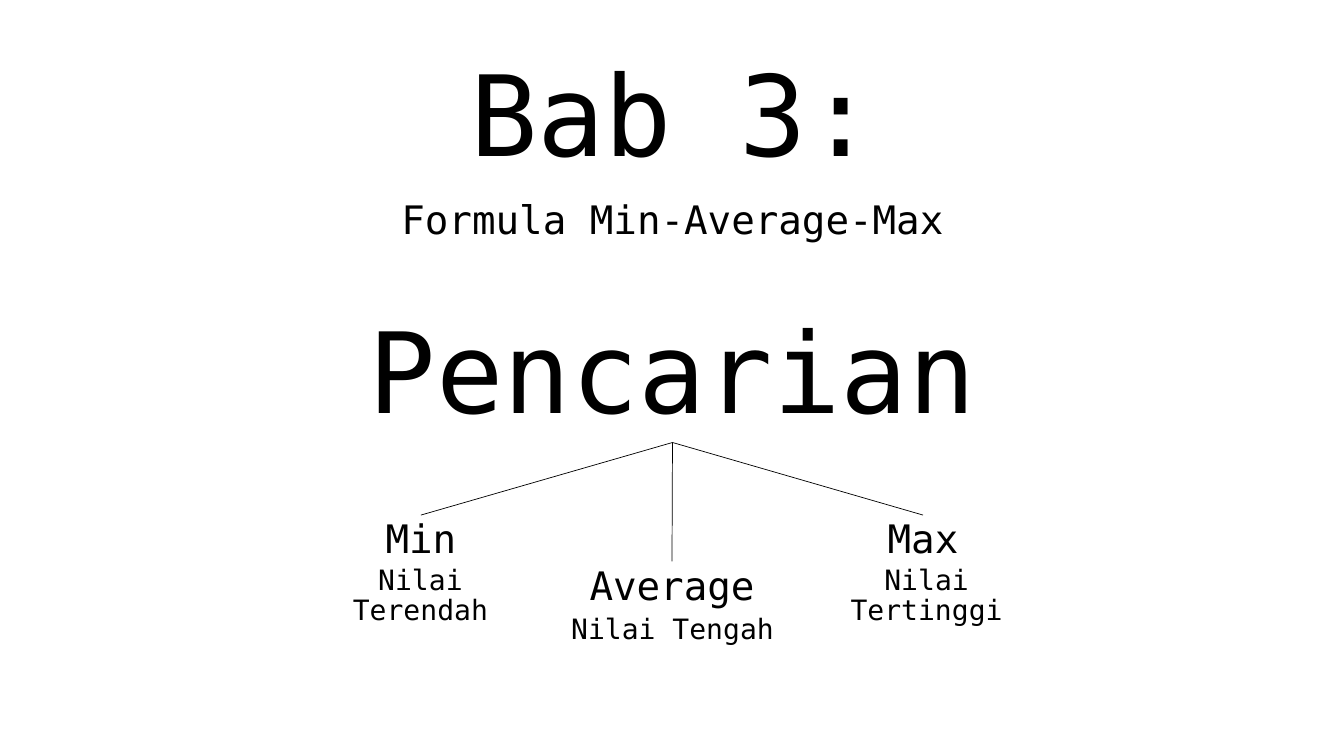
import pptx
import pptx.dml.color
import pptx.enum.shapes
import pptx.enum.text
import pptx.util
import lxml.etree

PX = 9144
FONT = "DejaVu Sans Mono"
BLACK = "000000"
TOP, BOTTOM = 0, 2


def color(value):
    return pptx.dml.color.RGBColor.from_string(value)


def write(text, left, top, width, height, size=28, before=10, anchor="TOP", box=None):
    area = [length * PX for length in (left, top, width, height)]
    if box is None:
        box = page.shapes.add_textbox(*area)
    box.left, box.top, box.width, box.height = area
    frame = box.text_frame
    frame.word_wrap = True
    frame.auto_size = pptx.enum.text.MSO_AUTO_SIZE.NONE
    frame.vertical_anchor = pptx.enum.text.MSO_ANCHOR[anchor]
    para = frame.paragraphs[0]
    para.alignment = pptx.enum.text.PP_ALIGN.CENTER
    para.line_spacing = 0.9
    para.space_before = pptx.util.Pt(before)
    span = para.add_run()
    span.text = text
    span.font.name = FONT
    span.font.size = pptx.util.Pt(size)
    span.font.color.rgb = color(BLACK)
    return box


deck = pptx.Presentation()
deck.slide_width, deck.slide_height = 1333 * PX, 750 * PX
page = deck.slides.add_slide(deck.slide_layouts[5])

write("Bab 3:", 167, 32, 1000, 152, size=80, before=0, anchor="BOTTOM", box=page.shapes.title)
write("Formula Min-Average-Max", 167, 194, 1000, 181)
search = write("Pencarian", 167, 287, 1000, 152, size=80, before=0, anchor="BOTTOM")

branches = [
    ("Min", 313, 511, "Nilai Terendah", 298, 557),
    ("Average", 562, 557, "Nilai Tengah", 548, 605),
    ("Max", 811, 511, "Nilai Tertinggi", 800, 557),
]
for name, name_left, name_top, meaning, meaning_left, meaning_top in branches:
    label = write(name, name_left, name_top, 209, 59)
    write(meaning, meaning_left, meaning_top, 238, 59, size=20)
    line = page.shapes.add_connector(pptx.enum.shapes.MSO_CONNECTOR.STRAIGHT, 0, 0, 0, 0)
    line.begin_connect(search, BOTTOM)
    line.end_connect(label, TOP)
    line.line.color.rgb = color(BLACK)
    line.line.width = pptx.util.Pt(0.5)
    properties = line._element.spPr
    lxml.etree.SubElement(properties, pptx.oxml.ns.qn("a:effectLst"))

deck.save("out.pptx")
